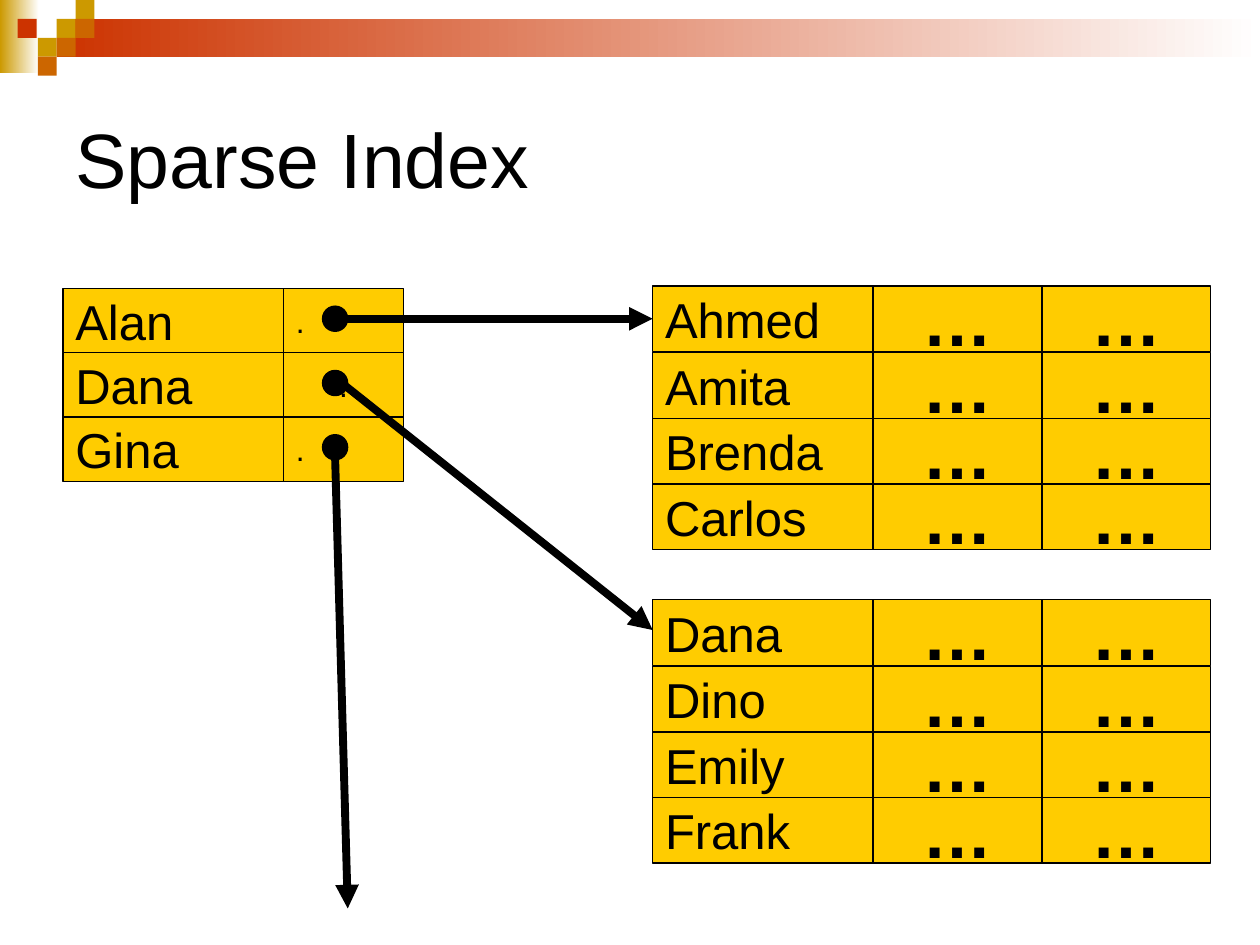
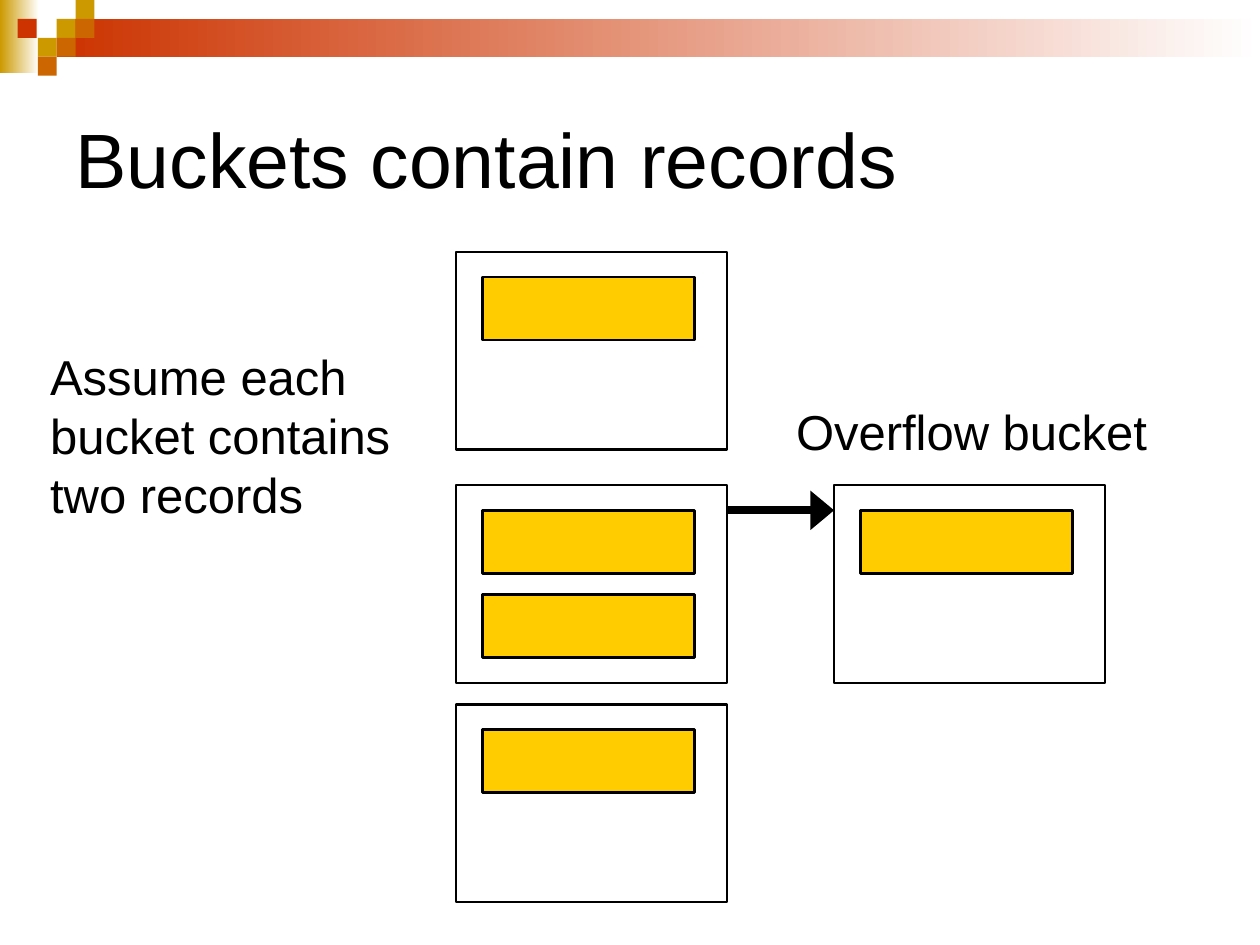
from pptx import Presentation
from pptx import util as u
from pptx.dml.color import RGBColor
from pptx.enum import shapes, text
from pptx.oxml import ns
from lxml import etree

BLACK = RGBColor(0x00, 0x00, 0x00)
WHITE = RGBColor(0xFF, 0xFF, 0xFF)
GOLD = RGBColor(0xFF, 0xCC, 0x00)
OCHRE = RGBColor(0xCC, 0x99, 0x00)
RUST = RGBColor(0xCC, 0x33, 0x00)
AMBER = RGBColor(0xCC, 0x66, 0x00)
FONT = "Arial"
RECT = shapes.MSO_SHAPE.RECTANGLE
OVAL = shapes.MSO_SHAPE.OVAL
LEFT = text.PP_ALIGN.LEFT
MID = text.PP_ALIGN.CENTER

TILE = 0.15
TILES = [
    (0.45, 0.15, OCHRE), (0.6, 0, OCHRE), (0.6, 0.15, AMBER),
    (0.3, 0.3, OCHRE), (0.14, 0.15, RUST), (0.45, 0.3, AMBER),
    (0.3, 0.45, AMBER),
]
BLOCKS = [
    (2.27, ["Ahmed", "Amita", "Brenda", "Carlos"]),
    (4.76, ["Dana", "Dino", "Emily", "Frank"]),
]
INDEX = [("Alan", LEFT), ("Dana", MID), ("Gina", LEFT)]
BUCKETS = [(3.62, 2, 1), (3.62, 3.85, 2), (3.62, 5.59, 1), (6.62, 3.85, 1)]


def inches(*vals):
    return [u.Inches(v) for v in vals]


def write(shape, lines, size=28, bold=False, align=LEFT, wrap=False,
          anchor=text.MSO_ANCHOR.MIDDLE):
    frame = shape.text_frame
    frame.word_wrap = wrap
    frame.vertical_anchor = anchor
    frame.text = lines
    for para in frame.paragraphs:
        para.alignment = align
        font = para.runs[0].font
        font.name, font.size, font.bold = FONT, u.Pt(size), bold
        font.color.rgb = BLACK


def box(slide, x, y, w, h, fill=None, line=None, fade=False, kind=RECT):
    shape = slide.shapes.add_shape(kind, *inches(x, y, w, h))
    shape.shadow.inherit = False
    if fade:
        shape.fill.gradient()
        shape.fill.gradient_angle = 0
        for stop, tint in zip(shape.fill.gradient_stops, (fill, WHITE)):
            stop.color.rgb = tint
    elif fill is None:
        shape.fill.background()
    else:
        shape.fill.solid()
        shape.fill.fore_color.rgb = fill
    if line is None:
        shape.line.fill.background()
    else:
        shape.line.color.rgb = BLACK
        shape.line.width = u.Pt(line)
    return shape


def cell(slide, x, y, w, h, words, **style):
    write(box(slide, x, y, w, h, GOLD, 0.75), words, **style)


def arrow(slide, start, end, head="med"):
    link = slide.shapes.add_connector(
        shapes.MSO_CONNECTOR.STRAIGHT, *inches(*start, *end))
    link.line.color.rgb = BLACK
    link.line.width = u.Pt(4.5)
    etree.SubElement(link.line._get_or_add_ln(), ns.qn("a:tailEnd"),
                     type="triangle", w=head, len="med")
    etree.SubElement(link._element.spPr, ns.qn("a:effectLst"))


def note(slide, x, y, w, h, words):
    area = slide.shapes.add_textbox(*inches(x, y, w, h))
    write(area, words, wrap=True, anchor=text.MSO_ANCHOR.TOP)


def page(deck, words):
    slide = deck.slides.add_slide(deck.slide_layouts[5])
    box(slide, 0, 0, 0.31, 0.58, OCHRE, fade=True)
    box(slide, 0.45, 0.15, 9.55, 0.3, RUST, fade=True)
    for x, y, tint in TILES:
        box(slide, x, y, TILE, TILE, tint)
    title = slide.shapes.title
    title.left, title.top, title.width, title.height = inches(0.5, 0.5, 9, 1.5)
    write(title, words, size=44, wrap=True)
    return slide


def block(slide, top, names):
    for row, name in enumerate(names):
        y = top + 0.52 * row + (0.01 if row else 0)
        cell(slide, 5.18, y, 1.75, 0.52, name)
        for x in (6.93, 8.27):
            cell(slide, x, y, 1.34, 0.52, "…", size=40, bold=True, align=MID)


def index(slide):
    for row, (name, align) in enumerate(INDEX):
        y = 2.29 + 0.51 * row
        cell(slide, 0.5, y, 1.75, 0.51, name)
        cell(slide, 2.25, y, 0.95, 0.51, ".", size=18, align=align)
        box(slide, 2.56, y + 0.14, 0.2, 0.2, BLACK, 0.75, kind=OVAL)


def bucket(slide, x, y, count):
    for row in range(count):
        box(slide, x + 0.21, y + 0.2 + 0.67 * row, 1.68, 0.5, GOLD, 1.5)
    box(slide, x, y, 2.15, 1.57, line=1.5)


def main():
    deck = Presentation()
    deck.slide_width, deck.slide_height = inches(10, 7.5)

    sparse = page(deck, "Sparse Index")
    for top, names in BLOCKS:
        block(sparse, top, names)
    index(sparse)
    arrow(sparse, (2.66, 2.53), (5.18, 2.53))
    arrow(sparse, (2.66, 3.64), (2.76, 7.21))
    arrow(sparse, (2.7, 3.03), (5.18, 5))

    store = page(deck, "Buckets contain records")
    for x, y, count in BUCKETS:
        bucket(store, x, y, count)
    arrow(store, (5.77, 4.05), (6.62, 4.05), head="lg")
    note(store, 0.3, 2.7, 3.1, 1.5,
         "Assume each\nbucket contains\ntwo records")
    note(store, 6.22, 3.14, 3.1, 0.57, "Overflow bucket")

    deck.save("out.pptx")


if __name__ == "__main__":
    main()
